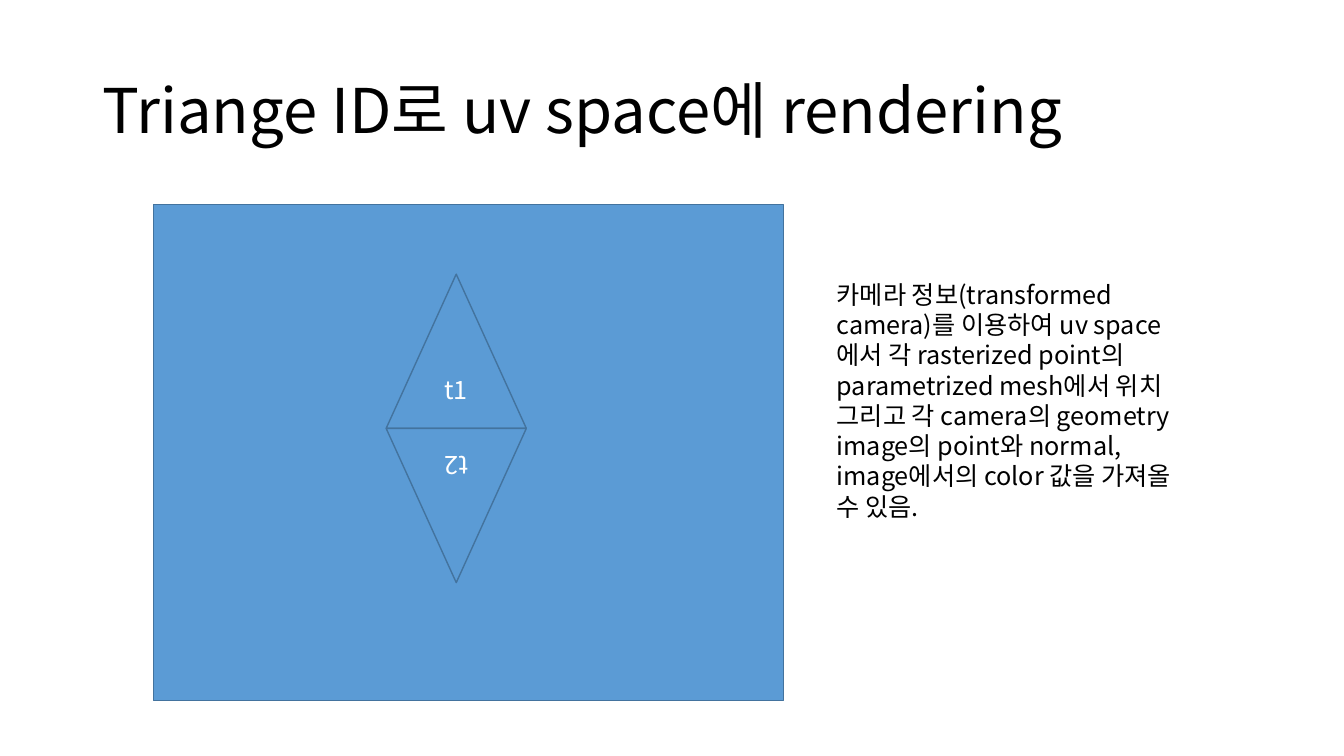
from lxml.etree import SubElement
from pptx import Presentation
from pptx.dml.color import RGBColor
from pptx.enum.shapes import MSO_SHAPE
from pptx.enum.text import MSO_ANCHOR, PP_ALIGN
from pptx.oxml.ns import qn
from pptx.util import Inches, Pt

FONT = "Noto Sans CJK KR"
COLORS = {"fill": "5B9BD5", "line": "43739E", "dark": "000000", "light": "FFFFFF"}
TITLE = "Triange ID로 uv space에 rendering"
NOTE = (
    "카메라 정보(transformed camera)를 이용하여 uv space에서 각 rasterized point의 "
    "parametrized mesh에서 위치 그리고 각 camera의 geometry image의 point와 normal, "
    "image에서의 color 값을 가져올 수 있음."
)


def set_text(sp, text, size, color, anchor, **formats):
    """Write one paragraph into a shape and format it."""
    tf = sp.text_frame
    tf.word_wrap = True
    tf.vertical_anchor = anchor
    p = tf.paragraphs[0]
    for name, value in formats.items():
        setattr(p, name, value)
    r = p.add_run()
    r.text = text
    for name, value in {"name": FONT, "size": Pt(size)}.items():
        setattr(r.font, name, value)
    r.font.color.rgb = RGBColor.from_string(COLORS[color])
    SubElement(r.font._element, qn("a:ea"), typeface=FONT)


def add_text(s, box, text, size, anchor, **formats):
    """Add a wrapped text box."""
    sp = s.shapes.add_textbox(*map(Inches, box))
    set_text(sp, text, size, "dark", anchor, **formats)


def add_figure(s, kind, box, text=None, rotation=0):
    """Add a filled, outlined shape with an optional centred label."""
    sp = s.shapes.add_shape(kind, *map(Inches, box))
    sp.shadow.inherit = False
    sp.rotation = rotation
    sp.fill.solid()
    sp.fill.fore_color.rgb = RGBColor.from_string(COLORS["fill"])
    sp.line.color.rgb = RGBColor.from_string(COLORS["line"])
    sp.line.width = Pt(1)
    if text:
        set_text(sp, text, 18, "light", MSO_ANCHOR.MIDDLE, alignment=PP_ALIGN.CENTER)


def main():
    """Build the slide and save it."""
    prs = Presentation()
    prs.slide_width, prs.slide_height = Inches(13.33), Inches(7.5)
    s = prs.slides.add_slide(prs.slide_layouts[6])
    add_text(s, (0.92, 0.4, 11.5, 1.45), TITLE, 44, MSO_ANCHOR.MIDDLE, line_spacing=0.9)
    add_figure(s, MSO_SHAPE.RECTANGLE, (1.52, 2.03, 6.25, 4.92))
    top, height = 2.72, 1.53
    for i, label in enumerate(("t1", "t2")):
        box = (3.83, top + i * height, 1.39, height)
        add_figure(s, MSO_SHAPE.ISOSCELES_TRIANGLE, box, label, 180 * i)
    add_text(s, (8.2, top, 3.77, 2.52), NOTE, 18, MSO_ANCHOR.TOP, line_spacing=Pt(21.6))
    prs.save("out.pptx")


if __name__ == "__main__":
    main()
